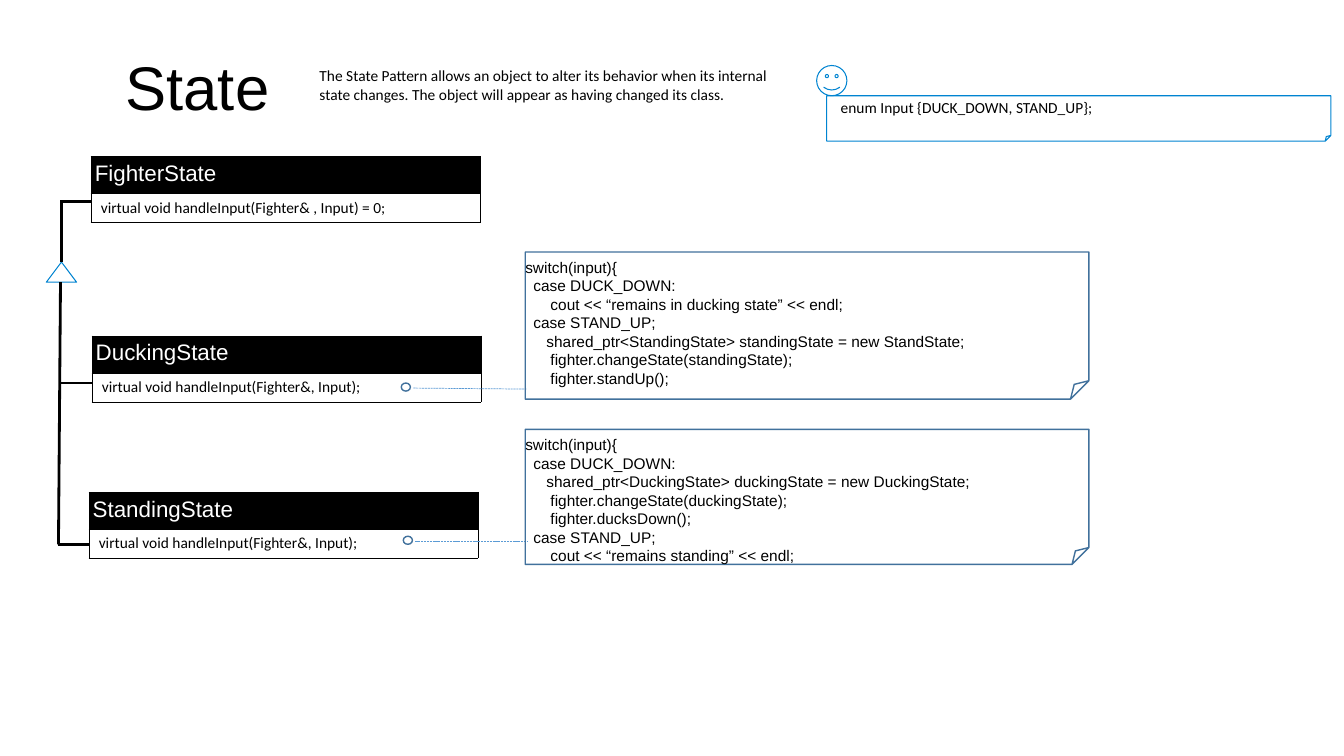
from lxml import etree
from pptx import Presentation
from pptx.dml.color import RGBColor
from pptx.enum.dml import MSO_LINE
from pptx.enum.shapes import MSO_CONNECTOR, MSO_SHAPE
from pptx.enum.text import MSO_ANCHOR, MSO_AUTO_SIZE, PP_ALIGN
from pptx.oxml.ns import qn
from pptx.util import Emu, Pt

PX = 9144  # EMU in one px, 100 px to the inch
STRAIGHT = MSO_CONNECTOR.STRAIGHT
DASHED = MSO_LINE.SQUARE_DOT
NOTE = MSO_SHAPE.FOLDED_CORNER
SMILEY = MSO_SHAPE.SMILEY_FACE
TRIANGLE = MSO_SHAPE.ISOSCELES_TRIANGLE
OVAL = MSO_SHAPE.OVAL
TOP, MIDDLE = MSO_ANCHOR.TOP, MSO_ANCHOR.MIDDLE
LEFT, CENTER = PP_ALIGN.LEFT, PP_ALIGN.CENTER

BLACK, WHITE = "000000", "FFFFFF"
CYAN, NAVY, BLUE = "0084D1", "41719C", "5B9BD5"
CLASS_WIDTH, HEAD_HEIGHT, METHOD_HEIGHT = 386, 35, 29

# Left, top, name, method, height of the branch below the top
CLASSES = [
    (90, 155, "FighterState", "virtual void handleInput(Fighter& , Input) = 0;", 45),
    (91, 333, "DuckingState", "virtual void handleInput(Fighter&, Input);", 47),
    (88, 488, "StandingState", "virtual void handleInput(Fighter&, Input);", 52),
]

# Each code line has its indent in px
DUCKING_CODE = [
    (0, "switch(input){"),
    (8, "case DUCK_DOWN:"),
    (25, "cout << “remains in ducking state” << endl;"),
    (8, "case STAND_UP;"),
    (21, "shared_ptr<StandingState> standingState = new StandState;"),
    (25, "fighter.changeState(standingState);"),
    (25, "fighter.standUp();"),
]
STANDING_CODE = [
    (0, "switch(input){"),
    (8, "case DUCK_DOWN:"),
    (21, "shared_ptr<DuckingState> duckingState = new DuckingState;"),
    (25, "fighter.changeState(duckingState);"),
    (25, "fighter.ducksDown();"),
    (8, "case STAND_UP;"),
    (25, "cout << “remains standing” << endl;"),
]


def px(*lengths):
    return [Emu(length * PX) for length in lengths]


def color(value):
    return RGBColor.from_string(value)


def set_font(para, name, size, value=BLACK):
    para.font.name = name
    para.font.size = Pt(size)
    para.font.color.rgb = color(value)


def set_margins(target, left, top, right, bottom):
    target.margin_left, target.margin_top, target.margin_right, target.margin_bottom = px(
        left, top, right, bottom)


def add_line(page, start, end, value=BLACK, width=0, dash=None):
    line = page.shapes.add_connector(STRAIGHT, *px(*start, *end))
    line.line.color.rgb = color(value)
    line.line.width = Pt(width)
    if dash:
        line.line.dash_style = dash
    etree.SubElement(line._element.spPr, qn("a:effectLst"))


def add_outline(page, kind, box, value, width=0):
    shape = page.shapes.add_shape(kind, *px(*box))
    shape.shadow.inherit = False
    shape.fill.background()
    shape.line.color.rgb = color(value)
    shape.line.width = Pt(width)
    return shape


def add_note(page, box, value, width=0):
    """An outline with its corner folded by an eighth of its height."""
    note = add_outline(page, NOTE, box, value, width)
    guides = note._element.spPr.find(qn("a:prstGeom")).find(qn("a:avLst"))
    etree.SubElement(guides, qn("a:gd"), name="adj", fmla="val 12500")
    return note


def add_text(page, box, text):
    frame = page.shapes.add_textbox(*px(*box)).text_frame
    frame.word_wrap = True
    set_margins(frame, 10, 5, 10, 5)
    frame.text = text
    set_font(frame.paragraphs[0], "Calibri", 11)


def add_title(page, box, text):
    title = page.shapes.title
    title.left, title.top, title.width, title.height = px(*box)
    frame = title.text_frame
    frame.text = text
    frame.auto_size = MSO_AUTO_SIZE.NONE
    frame.vertical_anchor = MIDDLE
    set_margins(frame, 0, 0, 0, 0)
    para = frame.paragraphs[0]
    para.alignment = CENTER
    set_font(para, "Arial", 44)


def set_cell(cell, text, name, size, ink, fill, inset):
    properties = cell._tc.get_or_add_tcPr()
    for side in ("a:lnL", "a:lnR", "a:lnT", "a:lnB"):
        border = etree.SubElement(properties, qn(side), w="720")
        solid = etree.SubElement(border, qn("a:solidFill"))
        etree.SubElement(solid, qn("a:srgbClr"), val=BLACK)
    cell.fill.solid()
    cell.fill.fore_color.rgb = color(fill)
    set_margins(cell, inset, 5, inset, 5)
    cell.text = text
    set_font(cell.text_frame.paragraphs[0], name, size, ink)


def add_class(page, left, top, name, method, branch):
    """A class box with its branch to the inheritance trunk."""
    height = HEAD_HEIGHT + METHOD_HEIGHT
    table = page.shapes.add_table(2, 1, *px(left, top, CLASS_WIDTH, height)).table
    table.rows[0].height, table.rows[1].height = px(HEAD_HEIGHT, METHOD_HEIGHT)
    set_cell(table.cell(0, 0), name, "Arial", 16, WHITE, BLACK, 4)
    set_cell(table.cell(1, 0), method, "Calibri", 11, BLACK, WHITE, 10)
    add_line(page, (left - 30, top + branch), (left, top + branch))


def add_inheritance(page, left, top, width, height):
    """The triangle, with the trunk above and below it."""
    middle = left + width // 2
    add_outline(page, TRIANGLE, (left, top, width, height), CYAN)
    add_line(page, (middle, top - 60), (middle, top))
    add_line(page, (middle - 1, top + height), (middle - 3, top + height + 260))


def add_code_note(page, box, code, ring, line_start, line_end):
    """A code note tied by a dashed line to a ring in its class."""
    add_line(page, line_start, line_end, BLUE, 0.5, DASHED)
    add_outline(page, OVAL, (*ring, 9, 8), NAVY, 1)
    frame = add_note(page, box, NAVY, 1).text_frame
    frame.word_wrap = True
    frame.vertical_anchor = TOP
    set_margins(frame, 0, 6, 11, 6)
    for index, (indent, text) in enumerate(code):
        para = frame.add_paragraph() if index else frame.paragraphs[0]
        para.text = text
        para.alignment = LEFT
        para._p.get_or_add_pPr().set("marL", str(indent * PX))
        set_font(para, "Arial", 11)


def add_input_note(page, left, top, width, height):
    """The note on the input type, with a face on its corner."""
    add_outline(page, SMILEY, (left - 10, top - 30, 30, 30), CYAN)
    add_note(page, (left, top, width, height), CYAN)
    add_text(page, (left + 4, top - 3, width - 14, 24), "enum Input {DUCK_DOWN, STAND_UP};")


def main():
    deck = Presentation()
    deck.slide_width, deck.slide_height = px(1333, 750)
    page = deck.slides.add_slide(deck.slide_layouts[5])

    # Heading
    add_title(page, (92, 40, 208, 90), "State")
    add_text(page, (307, 61, 483, 39),
             "The State Pattern allows an object to alter its behavior when its internal "
             "state changes. The object will appear as having changed its class.")
    add_input_note(page, 820, 95, 500, 45)

    # Class diagram
    for entry in CLASSES:
        add_class(page, *entry)
    add_inheritance(page, 46, 260, 30, 20)

    # Code notes
    add_code_note(page, (521, 250, 559, 146), DUCKING_CODE, (398, 380), (410, 385), (522, 386))
    add_code_note(page, (521, 426, 559, 134), STANDING_CODE, (400, 532), (412, 537), (524, 537))

    deck.save("out.pptx")


if __name__ == "__main__":
    main()
